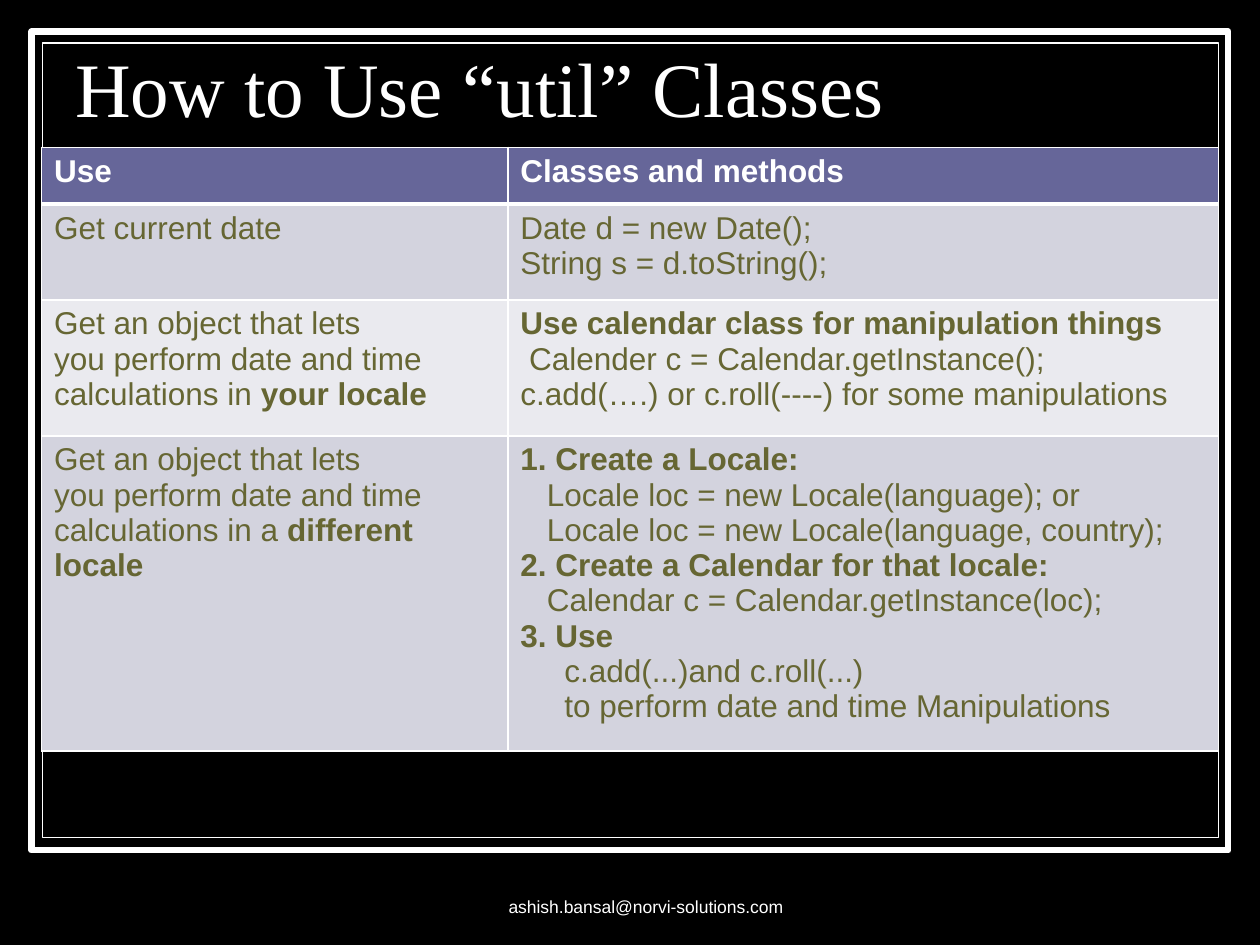
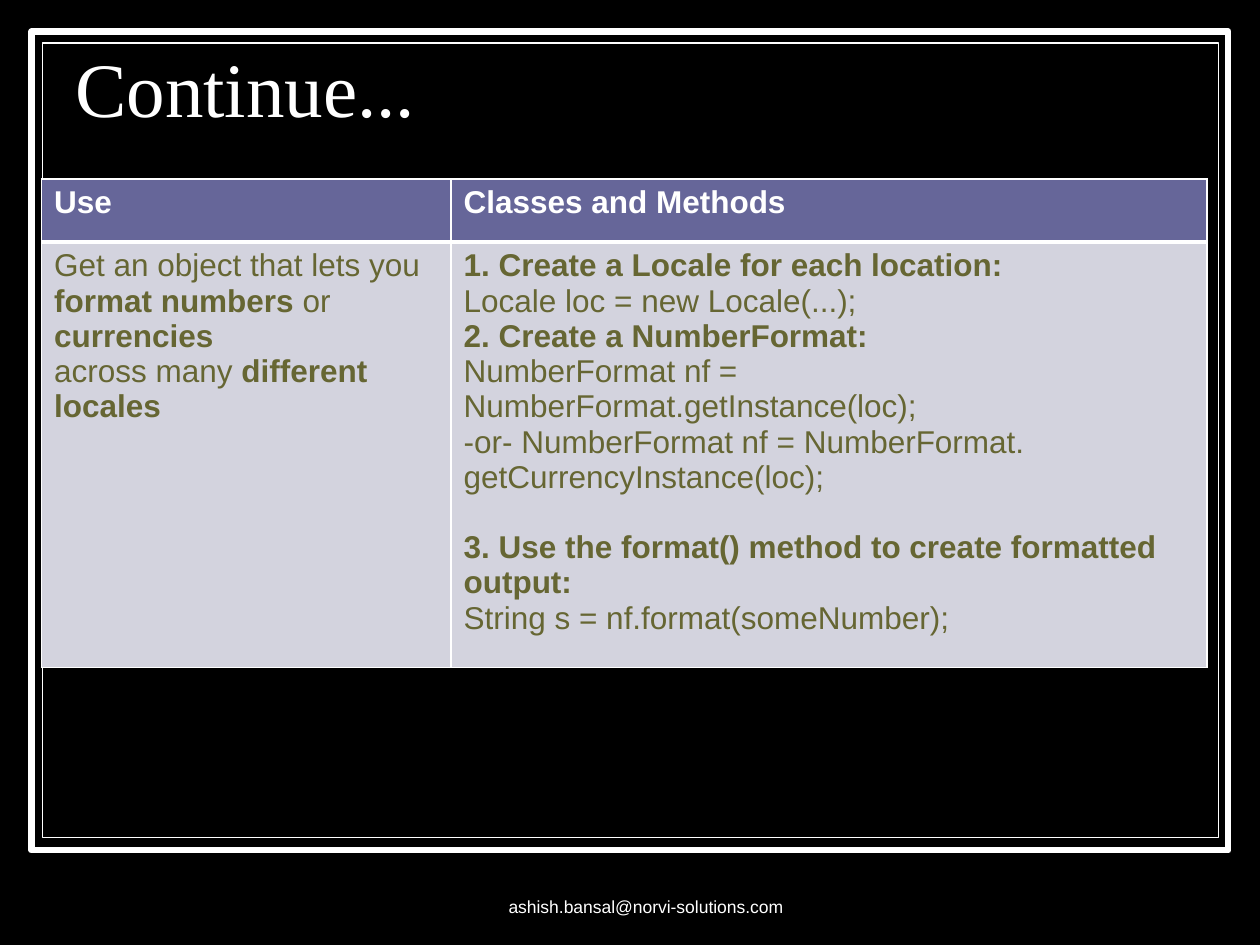
from dataclasses import dataclass

from lxml import etree
from pptx import Presentation
from pptx.dml.color import RGBColor
from pptx.enum import shapes, text as text_enum
from pptx.oxml import ns
from pptx.util import Inches, Pt

BLACK = RGBColor(0x00, 0x00, 0x00)
WHITE = RGBColor(0xFF, 0xFF, 0xFF)
HEADER_FILL = RGBColor(0x66, 0x66, 0x99)
ODD_ROW_FILL = RGBColor(0xD3, 0xD3, 0xDE)
EVEN_ROW_FILL = RGBColor(0xEA, 0xEA, 0xEF)
BODY_TEXT = RGBColor(0x66, 0x66, 0x33)

BODY_FONT = "Arial"
TITLE_FONT = "Times New Roman"
FOOTER = "ashish.bansal@norvi-solutions.com"
THIN, THICK = 1, 3


@dataclass
class Line:
    """One paragraph of a cell; **stars** enclose bold words."""
    text: str
    indent: float = 0
    before: float = 0


def write_text(paragraph, text, *, size=18, font=BODY_FONT, color=WHITE,
               bold=False, align=None, spacing=None):
    """Write text in a paragraph; **stars** switch bold on and off."""
    if align is not None:
        paragraph.alignment = align
    if spacing is not None:
        paragraph.line_spacing = spacing
    for index, part in enumerate(text.split("**")):
        if part:
            run = paragraph.add_run()
            run.text = part
            run.font.size = Pt(size)
            run.font.name = font
            run.font.color.rgb = color
            run.font.bold = bold or index % 2 == 1


def add_text_box(slide, left, top, width, height, text, **text_format):
    shape = slide.shapes.add_textbox(
        Inches(left), Inches(top), Inches(width), Inches(height))
    frame = shape.text_frame
    frame.word_wrap = True
    frame.vertical_anchor = text_enum.MSO_ANCHOR.BOTTOM
    write_text(frame.paragraphs[0], text, **text_format)


def add_frame(slide, left, top, width, height, line_width):
    shape = slide.shapes.add_shape(
        shapes.MSO_SHAPE.RECTANGLE,
        Inches(left), Inches(top), Inches(width), Inches(height))
    shape.shadow.inherit = False
    shape.fill.solid()
    shape.fill.fore_color.rgb = BLACK
    shape.line.color.rgb = WHITE
    shape.line.width = Pt(line_width)


def set_borders(cell, **widths):
    """Draw white borders; the sides come in the order L, R, T, B."""
    properties = cell._tc.get_or_add_tcPr()
    for side, width in widths.items():
        border = etree.SubElement(
            properties, ns.qn(f"a:ln{side}"), w=str(Pt(width)))
        fill = etree.SubElement(border, ns.qn("a:solidFill"))
        etree.SubElement(fill, ns.qn("a:srgbClr"), val=str(WHITE))


def fill_cell(cell, lines, row_index):
    is_header = row_index == 0
    set_borders(cell, L=THIN, R=THIN,
                T=THICK if row_index == 1 else THIN,
                B=THICK if is_header else THIN)
    cell.fill.solid()
    if is_header:
        cell.fill.fore_color.rgb = HEADER_FILL
    else:
        cell.fill.fore_color.rgb = ODD_ROW_FILL if row_index % 2 else EVEN_ROW_FILL

    frame = cell.text_frame
    for index, line in enumerate(lines):
        paragraph = frame.add_paragraph() if index else frame.paragraphs[0]
        if line.indent:
            paragraph._p.get_or_add_pPr().set("marL", str(Inches(line.indent)))
        if line.before:
            paragraph.space_before = Pt(line.before)
        write_text(paragraph, line.text, bold=is_header,
                   color=WHITE if is_header else BODY_TEXT)


def add_usage_table(slide, top, column_widths, row_heights, rows):
    table = slide.shapes.add_table(
        len(rows), len(column_widths), Inches(0.33), Inches(top),
        Inches(sum(column_widths)), Inches(sum(row_heights))).table
    for column, width in zip(table.columns, column_widths):
        column.width = Inches(width)
    for row_index, (row, height) in enumerate(zip(rows, row_heights)):
        table.rows[row_index].height = Inches(height)
        for column_index, lines in enumerate(row):
            fill_cell(table.cell(row_index, column_index), lines, row_index)


def add_base_slide(presentation, title):
    """Add a slide with the background, double frame, title and footer."""
    slide = presentation.slides.add_slide(presentation.slide_layouts[6])
    slide.background.fill.solid()
    slide.background.fill.fore_color.rgb = BLACK
    add_frame(slide, 0.25, 0.25, 9.5, 6.5, 3.5)
    add_frame(slide, 0.34, 0.34, 9.33, 6.31, 0.75)
    add_text_box(slide, 0.5, 0.42, 8.92, 0.68, title,
                 size=44, font=TITLE_FONT, spacing=0.8)
    add_text_box(slide, 3.54, 6.83, 3.17, 0.5, FOOTER,
                 size=10, align=text_enum.PP_ALIGN.CENTER)
    return slide


# Table contents
DATE_ROWS = [
    ([Line("Use")], [Line("Classes and methods")]),
    ([Line("Get current date")],
     [Line("Date d = new Date();"),
      Line("String s = d.toString();")]),
    ([Line("Get an object that lets"),
      Line("you perform date and time"),
      Line("calculations in **your locale**")],
     [Line("**Use calendar class for manipulation things**"),
      Line("Calender c = Calendar.getInstance();", indent=0.07),
      Line("c.add(….) or c.roll(----) for some manipulations")]),
    ([Line("Get an object that lets"),
      Line("you perform date and time"),
      Line("calculations in a **different**"),
      Line("**locale**")],
     [Line("**1. Create a Locale:**"),
      Line("Locale loc = new Locale(language); or", indent=0.21),
      Line("Locale loc = new Locale(language, country);", indent=0.21),
      Line("**2. Create a Calendar for that locale:**"),
      Line("Calendar c = Calendar.getInstance(loc);", indent=0.21),
      Line("**3. Use**"),
      Line("c.add(...)and c.roll(...)", indent=0.35),
      Line("to perform date and time Manipulations", indent=0.35)]),
]

NUMBER_ROWS = [
    ([Line("Use")], [Line("Classes and Methods")]),
    ([Line("Get an object that lets you"),
      Line("**format numbers** or **currencies**"),
      Line("across many **different locales**")],
     [Line("**1. Create a Locale for each location:**"),
      Line("Locale loc = new Locale(...);"),
      Line("**2. Create a NumberFormat:**"),
      Line("NumberFormat nf ="),
      Line("NumberFormat.getInstance(loc);"),
      Line("-or- NumberFormat nf = NumberFormat."),
      Line("getCurrencyInstance(loc);"),
      Line("**3. Use the format() method to create formatted output:**",
           before=20),
      Line("String s = nf.format(someNumber);")]),
]


def main():
    presentation = Presentation()
    presentation.slide_width = Inches(10)
    presentation.slide_height = Inches(7.5)

    # Dates and calendars
    slide = add_base_slide(presentation, "How to Use “util” Classes")
    add_usage_table(slide, 1.17, [3.7, 5.64], [0.45, 0.76, 1.08, 2.34], DATE_ROWS)

    # Number formats
    slide = add_base_slide(presentation, "Continue...")
    add_usage_table(slide, 1.42, [3.25, 6], [0.5, 3.18], NUMBER_ROWS)

    presentation.save("out.pptx")


if __name__ == "__main__":
    main()
